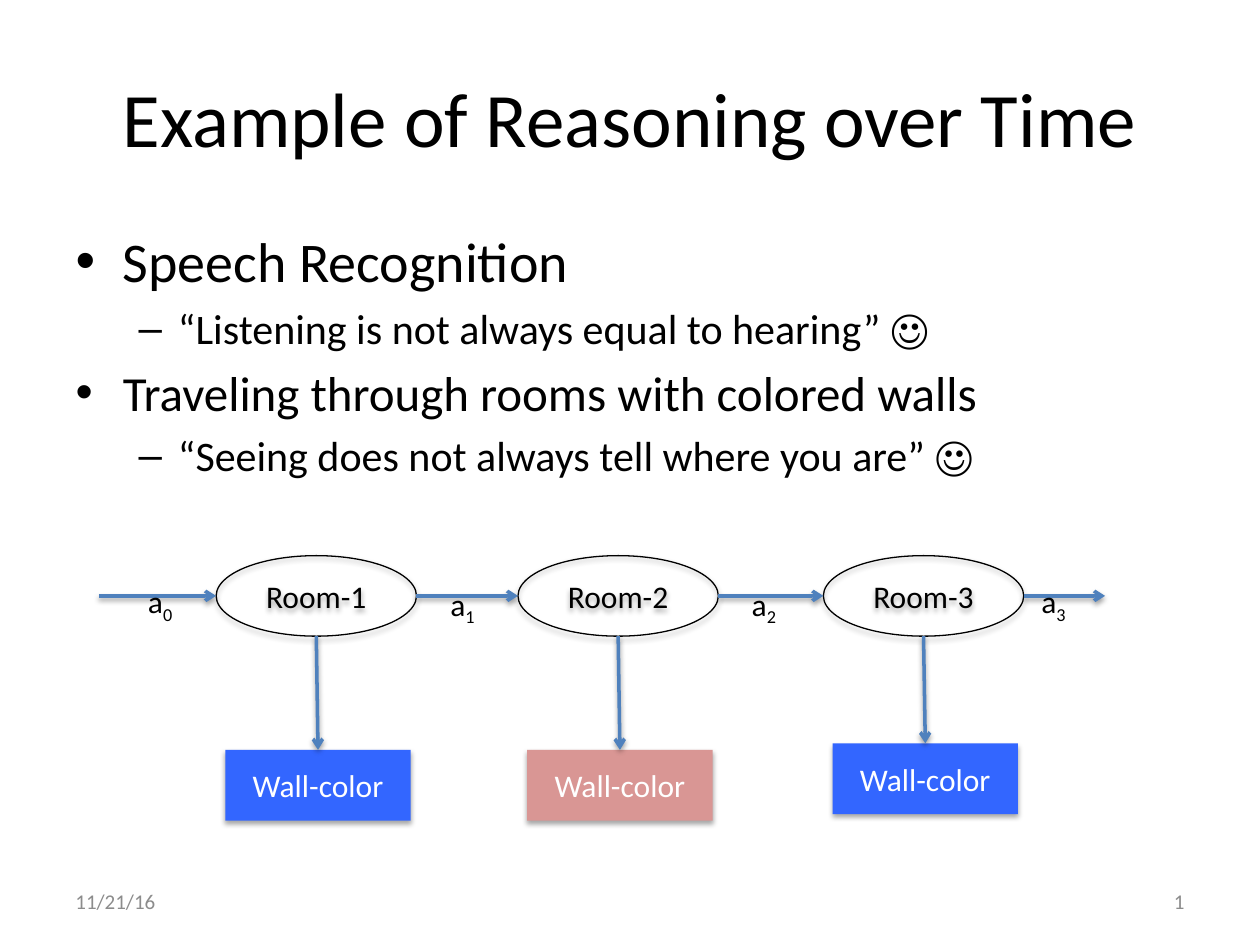
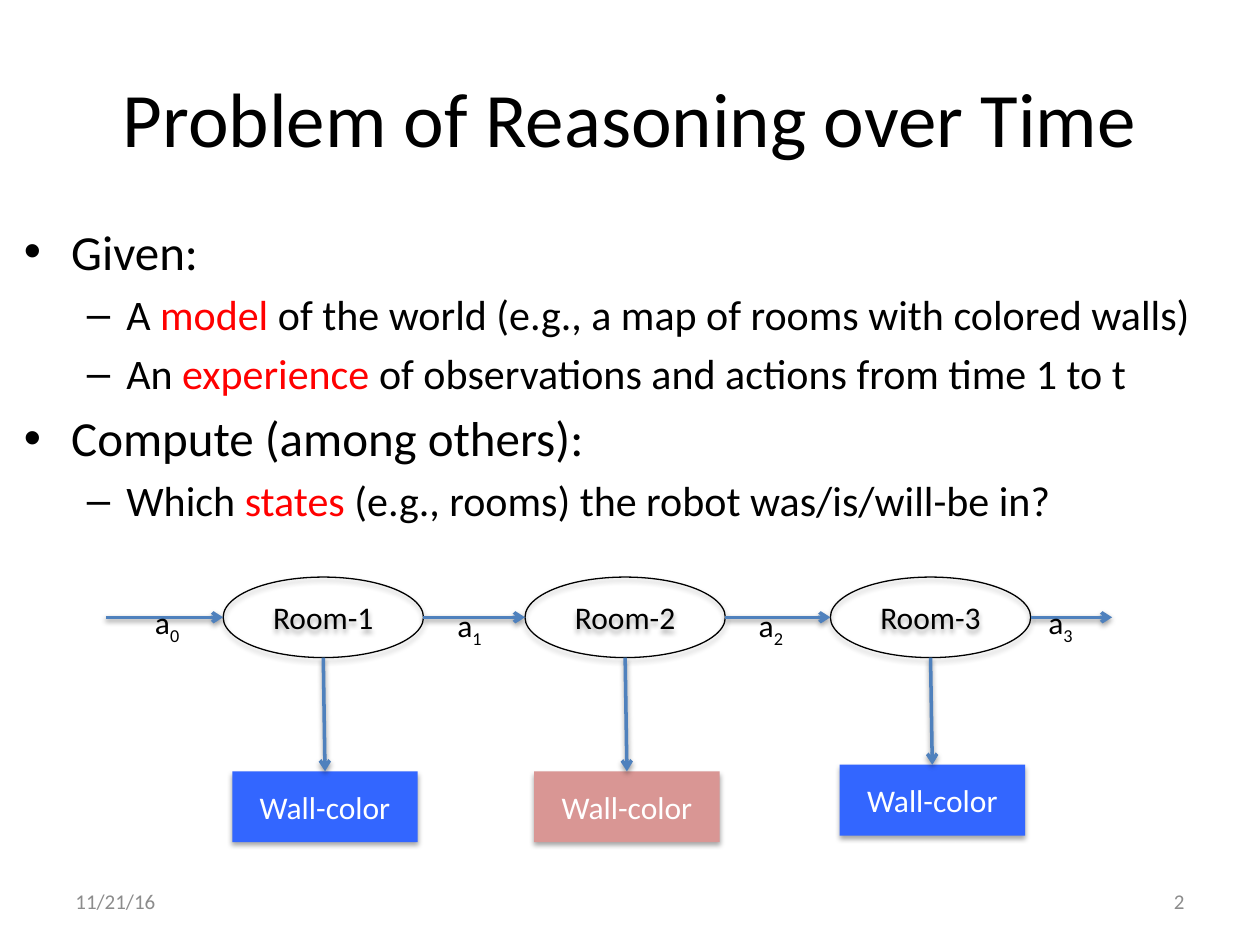
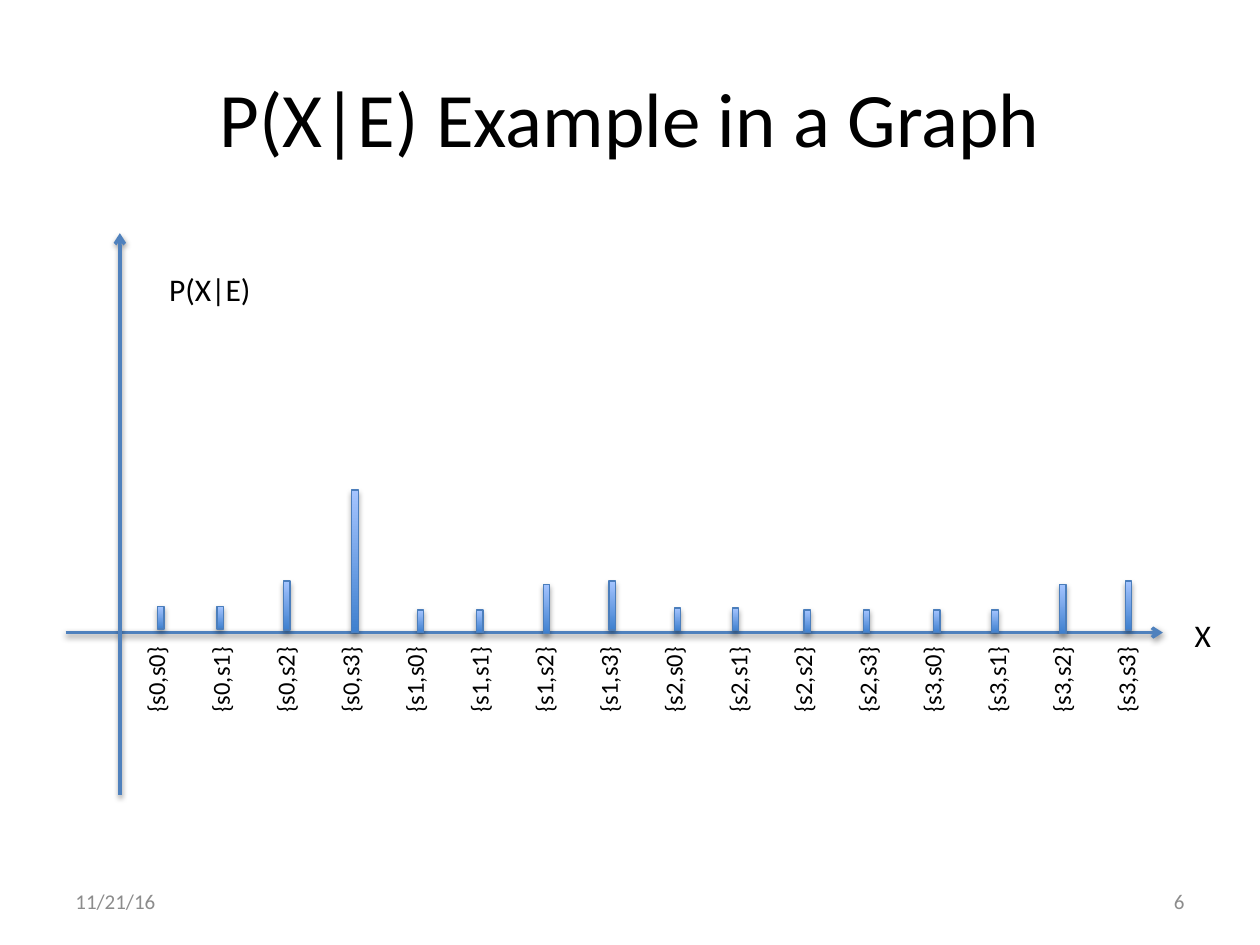
from itertools import product

from pptx import Presentation
from pptx.dml.color import RGBColor
from pptx.enum.shapes import MSO_CONNECTOR as Connector, MSO_SHAPE as Preset
from pptx.enum.text import MSO_ANCHOR as Anchor, MSO_AUTO_SIZE as AutoSize, PP_ALIGN as Align
from pptx.oxml import parse_xml
from pptx.oxml.ns import nsdecls
from pptx.util import Pt

# Shared style
FONT = "Calibri"
BLACK, WHITE, GREY, RED = "000000", "FFFFFF", "8C8C8C", "FF0000"
ARROW_BLUE, WALL_BLUE, WALL_PINK = "4F81BD", "3366FF", "D99694"
BAR_DARK, BAR_LIGHT, BAR_EDGE = "3F80CE", "A4C4FF", "4B7EBC"
DATE = "11/21/16"
TITLE_BOX = (36, 21.6, 648, 90)
TITLE_AND_BODY, TITLE_ONLY = 1, 5


def apply(target, **values):
    for name, value in values.items():
        setattr(target, name, value)


def set_color(color_format, color):
    color_format.rgb = RGBColor.from_string(color)


def set_font(font, size, color=BLACK):
    apply(font, name=FONT, size=Pt(size))
    set_color(font.color, color)


def place(shape, left, top, width, height):
    apply(shape, left=Pt(left), top=Pt(top), width=Pt(width), height=Pt(height))


def add_shadow(shape, opacity, distance):
    shape._element.spPr.append(parse_xml(
        f'<a:effectLst {nsdecls("a")}><a:outerShdw blurRad="{Pt(3.1)}" dist="{Pt(distance)}" '
        f'dir="5400000" rotWithShape="0"><a:srgbClr val="{BLACK}"><a:alpha val="{opacity * 1000}"/>'
        '</a:srgbClr></a:outerShdw></a:effectLst>'))


# Building parts
def add_text(shapes, box, text, size=18, color=BLACK, subscript="", align=Align.LEFT,
             anchor=Anchor.TOP, wrap=False):
    text_box = shapes.add_textbox(*map(Pt, box))
    frame = text_box.text_frame
    apply(frame, word_wrap=wrap, vertical_anchor=anchor,
          auto_size=AutoSize.NONE if wrap else AutoSize.SHAPE_TO_FIT_TEXT)
    paragraph = frame.paragraphs[0]
    paragraph.alignment = align
    for part in filter(None, (text, subscript)):
        run = paragraph.add_run()
        run.text = part
        set_font(run.font, size, color)
    if subscript:
        run._r.get_or_add_rPr().set("baseline", "-25000")
    return text_box


def add_node(shapes, preset, box, text="", fill=None, edge=None, color=BLACK):
    """Fill is None, one colour, or a (bottom, top) pair for a gradient."""
    node = shapes.add_shape(preset, *map(Pt, box))
    if fill is None:
        node.fill.background()
    elif isinstance(fill, tuple):
        node.fill.gradient()
        node.fill.gradient_angle = 90
        for stop, stop_color in zip(node.fill.gradient_stops, fill):
            set_color(stop.color, stop_color)
    else:
        node.fill.solid()
        set_color(node.fill.fore_color, fill)
    if edge:
        node.line.width = Pt(0.75)
        set_color(node.line.color, edge)
    else:
        node.line.fill.background()
    add_shadow(node, 35, 1.8)
    if text:
        node.text_frame.vertical_anchor = Anchor.MIDDLE
        paragraph = node.text_frame.paragraphs[0]
        paragraph.alignment = Align.CENTER
        run = paragraph.add_run()
        run.text = text
        set_font(run.font, 18, color)
    return node


def add_arrow(shapes, start, end, target=None):
    arrow = shapes.add_connector(Connector.STRAIGHT, *map(Pt, start + end))
    arrow.line.width = Pt(2)
    set_color(arrow.line.color, ARROW_BLUE)
    arrow.line._get_or_add_ln().append(parse_xml(f'<a:tailEnd {nsdecls("a")} type="arrow"/>'))
    add_shadow(arrow, 38, 1.6)
    if target is not None:
        arrow.end_connect(target, 0)


# Slide frame: title, date and number
def add_slide(presentation, layout, title, number):
    slide = presentation.slides.add_slide(presentation.slide_layouts[layout])
    place(slide.shapes.title, *TITLE_BOX)
    slide.shapes.title.text = title
    set_font(slide.shapes.title.text_frame.paragraphs[0].runs[0].font, 44)
    for left, text, align in ((36, DATE, Align.LEFT), (516, str(number), Align.RIGHT)):
        add_text(slide.shapes, (left, 500.5, 168, 28.75), text, 12, GREY,
                 align=align, anchor=Anchor.MIDDLE, wrap=True)
    return slide


# Bullet list: items are (level, size, parts); every second part is highlighted
def fill_body(body, box, items):
    place(body, *box)
    frame = body.text_frame
    frame.auto_size = AutoSize.NONE
    for index, (level, size, parts) in enumerate(items):
        paragraph = frame.add_paragraph() if index else frame.paragraphs[0]
        paragraph.level = level
        if index == 0:
            paragraph.space_before = Pt(0)
        for part_index, part in enumerate(parts):
            run = paragraph.add_run()
            run.text = part
            set_font(run.font, size, RED if part_index % 2 else BLACK)


# Chain of rooms, each with the wall colour seen in it
def add_room_chain(slide, left, top):
    shapes = slide.shapes.add_group_shape().shapes
    room_width, room_height, chain_width = 114.5, 46, 575
    middle = top + room_height / 2
    rooms = ((67, 111, WALL_BLUE), (239.5, 111, WALL_PINK), (414, 107.25, WALL_BLUE))
    arrow_start = left
    for number, (offset, wall_top, wall_color) in enumerate(rooms, 1):
        room_left = left + offset
        add_node(shapes, Preset.OVAL, (room_left, top, room_width, room_height),
                 f"Room-{number}", edge=BLACK)
        wall = add_node(shapes, Preset.RECTANGLE, (room_left + 5.25, top + wall_top, 106, 40.5),
                        "Wall-color", wall_color, color=WHITE)
        center = room_left + room_width / 2
        add_arrow(shapes, (center, top + room_height), (center, top + wall_top), wall)
        add_arrow(shapes, (arrow_start, middle), (room_left, middle))
        arrow_start = room_left + room_width
    add_arrow(shapes, (arrow_start, middle), (left + chain_width, middle))
    for number, (x, y) in enumerate(((21, 11.5), (193.75, 13), (366, 13), (531.5, 11.5))):
        add_text(shapes, (left + x, top + y, 33.5, 39), "a", subscript=str(number))


# Probability graph: bars are (offset, height, lift above the axis)
BARS = (
    (52.5, 13, 2), (86.5, 13, 2), (124.5, 28, 1.5), (163.5, 81.5, 0),
    (201, 13, 0), (234.75, 13, 0), (273, 28, -0.5), (310.5, 28, 1.5),
    (347.75, 13, 1), (381, 13, 1), (422, 13, 0), (455.75, 13, 0),
    (496, 13, 0), (529.25, 13, 0), (568, 28, -0.5), (605.5, 28, 1.5),
)


def add_graph(slide, left, top, width, height):
    shapes = slide.shapes
    axis_x, axis_y = left + 31, top + 228.25
    add_arrow(shapes, (left, axis_y), (left + width, axis_y))
    add_arrow(shapes, (axis_x, top + height), (axis_x, top))
    add_text(shapes, (left + 52, top + 17.5, 62, 29), "P(X|E)")
    add_text(shapes, (left + width + 11, axis_y - 13, 23.5, 29), "X")
    for index, (first, second) in enumerate(product(range(4), repeat=2)):
        label = add_text(shapes, (left + 25.25 + 36.96 * index, axis_y + 14.5, 52.5, 24.25),
                         f"{{s{first},s{second}}}", 14)
        label.rotation = 270
    for offset, bar_height, lift in BARS:
        box = (left + offset, axis_y - lift - bar_height, 3.75, bar_height)
        add_node(shapes, Preset.RECTANGLE, box, fill=(BAR_DARK, BAR_LIGHT), edge=BAR_EDGE)


def main():
    presentation = Presentation()
    apply(presentation, slide_width=Pt(720), slide_height=Pt(540))

    slide = add_slide(presentation, TITLE_AND_BODY, "Example of Reasoning over Time", 1)
    fill_body(slide.placeholders[1], (36, 126, 648, 170), (
        (0, 32, ("Speech Recognition",)),
        (1, 24, ("“Listening is not always equal to hearing” ☺",)),
        (0, 28, ("Traveling through rooms with colored walls",)),
        (1, 24, ("“Seeing does not always tell where you are” ☺",)),
    ))
    add_room_chain(slide, 56.5, 317.5)

    slide = add_slide(presentation, TITLE_AND_BODY, "Problem of Reasoning over Time", 2)
    fill_body(slide.placeholders[1], (6.5, 123, 706.5, 356.5), (
        (0, 28, ("Given:",)),
        (1, 24, ("A ", "model ", "of the world (e.g., a map of rooms with colored walls)")),
        (1, 24, ("An ", "experience ", "of observations and actions from time 1 to t")),
        (0, 28, ("Compute (among others):",)),
        (1, 24, ("Which ", "states ", "(e.g., rooms) the robot was/is/will-be in?")),
    ))
    add_room_chain(slide, 60.5, 329.75)

    slide = add_slide(presentation, TITLE_ONLY, "P(X|E) Example in a Graph", 6)
    add_graph(slide, 37.5, 133.25, 627, 321)

    presentation.save("out.pptx")


if __name__ == "__main__":
    main()
